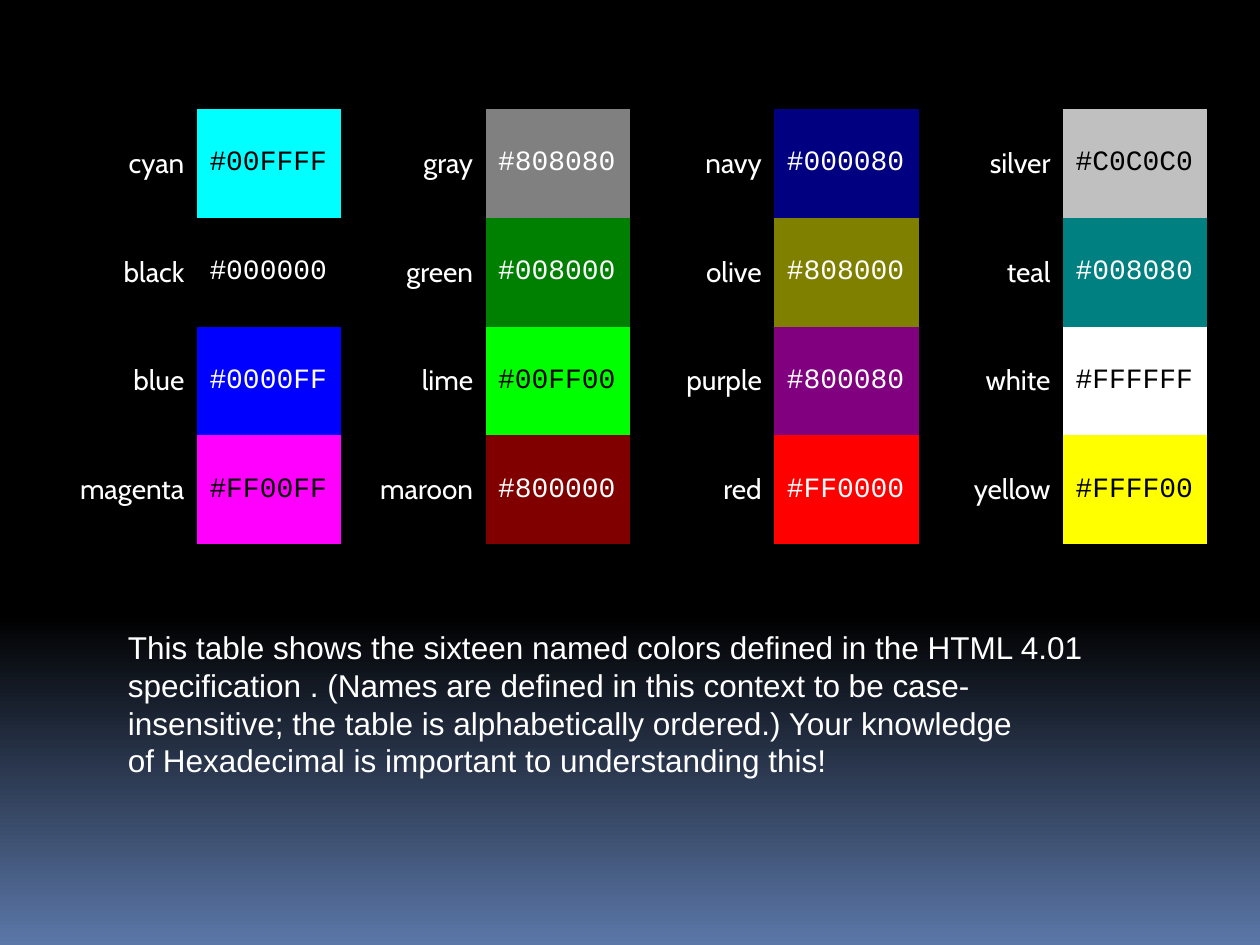
from copy import deepcopy

from pptx import Presentation
from pptx.dml.color import RGBColor
from pptx.enum.text import MSO_ANCHOR, MSO_AUTO_SIZE, PP_ALIGN
from pptx.oxml.ns import qn
from pptx.util import Cm, Pt

COLORS = {"light": "FFFFFF", "dark": "000000", "sky": "5B77A8"}
NO_STYLE_NO_GRID = "{2D5ABB26-0587-4C30-8999-92F81FD0307C}"
NAMED_COLORS = [
    [("cyan", "00FFFF"), ("gray", "808080"), ("navy", "000080"), ("silver", "C0C0C0")],
    [("black", "000000"), ("green", "008000"), ("olive", "808000"), ("teal", "008080")],
    [("blue", "0000FF"), ("lime", "00FF00"), ("purple", "800080"), ("white", "FFFFFF")],
    [("magenta", "FF00FF"), ("maroon", "800000"), ("red", "FF0000"), ("yellow", "FFFF00")],
]
DARK_TEXT_NAMES = {"cyan", "silver", "lime", "white", "magenta", "yellow"}
CAPTION = [
    "This table shows the sixteen named colors defined in the HTML 4.01 "
    "specification . (Names are defined in this context to be case-insensitive; "
    "the table is alphabetically ordered.) Your knowledge",
    "of Hexadecimal is important to understanding this!",
]
NAME_FORMAT = {"name": "Cabin", "size": Pt(16)}
CODE_FORMAT = {"name": "Courier New", "size": Pt(16)}
CAPTION_FORMAT = {"name": "Arial", "size": Pt(18)}


def set_attributes(target, values):
    for attribute, value in values.items():
        setattr(target, attribute, value)


def write(paragraph, text, font_format, color, alignment=PP_ALIGN.LEFT):
    paragraph.alignment = alignment
    run = paragraph.add_run()
    run.text = text
    set_attributes(run.font, font_format)
    run.font.color.rgb = RGBColor.from_string(color)


def paint_background(slide):
    fill = slide.background.fill
    fill.gradient()
    fill.gradient_angle = 270
    stop_list = slide.element.find(".//" + qn("a:gsLst"))
    stop_list.insert(1, deepcopy(stop_list[0]))
    stops = [(0, "dark"), (0.65, "dark"), (1, "sky")]
    for stop, (position, color) in zip(fill.gradient_stops, stops):
        stop.position = position
        stop.color.rgb = RGBColor.from_string(COLORS[color])


def add_color_table(slide, left, top, width, height, header_height):
    row_count, column_count = len(NAMED_COLORS) + 1, 2 * len(NAMED_COLORS[0])
    frame = slide.shapes.add_table(row_count, column_count, left, top, width, height)
    table = frame.table
    set_attributes(table, {"first_row": False, "horz_banding": False})
    frame.element.find(".//" + qn("a:tableStyleId")).text = NO_STYLE_NO_GRID

    row_height = (height - header_height) // len(NAMED_COLORS)
    for index, row in enumerate(table.rows):
        row.height = row_height if index else header_height
    for cell in table.iter_cells():
        cell.fill.background()
        cell.vertical_anchor = MSO_ANCHOR.MIDDLE
    for cell in table.rows[0].cells:
        set_attributes(cell, {"margin_top": 0, "margin_bottom": 0})

    for row_index, entries in enumerate(NAMED_COLORS, start=1):
        for pair_index, (name, code) in enumerate(entries):
            name_cell = table.cell(row_index, 2 * pair_index)
            code_cell = table.cell(row_index, 2 * pair_index + 1)
            code_color = COLORS["dark" if name in DARK_TEXT_NAMES else "light"]
            write(name_cell.text_frame.paragraphs[0], name, NAME_FORMAT,
                  COLORS["light"], PP_ALIGN.RIGHT)
            write(code_cell.text_frame.paragraphs[0], "#" + code, CODE_FORMAT, code_color)
            code_cell.fill.solid()
            code_cell.fill.fore_color.rgb = RGBColor.from_string(code)


def add_caption(slide, left, top, width, height):
    text_frame = slide.shapes.add_textbox(left, top, width, height).text_frame
    set_attributes(text_frame, {
        "word_wrap": True,
        "auto_size": MSO_AUTO_SIZE.SHAPE_TO_FIT_TEXT,
        "vertical_anchor": MSO_ANCHOR.MIDDLE,
    })
    for index, text in enumerate(CAPTION):
        paragraph = text_frame.add_paragraph() if index else text_frame.paragraphs[0]
        write(paragraph, text, CAPTION_FORMAT, COLORS["light"])


def main():
    presentation = Presentation()
    set_attributes(presentation, {"slide_width": Cm(25.4), "slide_height": Cm(19.05)})
    slide = presentation.slides.add_slide(presentation.slide_layouts[6])
    paint_background(slide)
    add_color_table(slide, Cm(1.06), Cm(1.27), Cm(23.28), Cm(9.7), Cm(0.93))
    add_caption(slide, Cm(2.33), Cm(12.52), Cm(20.32), Cm(3.33))
    presentation.save("out.pptx")


if __name__ == "__main__":
    main()
